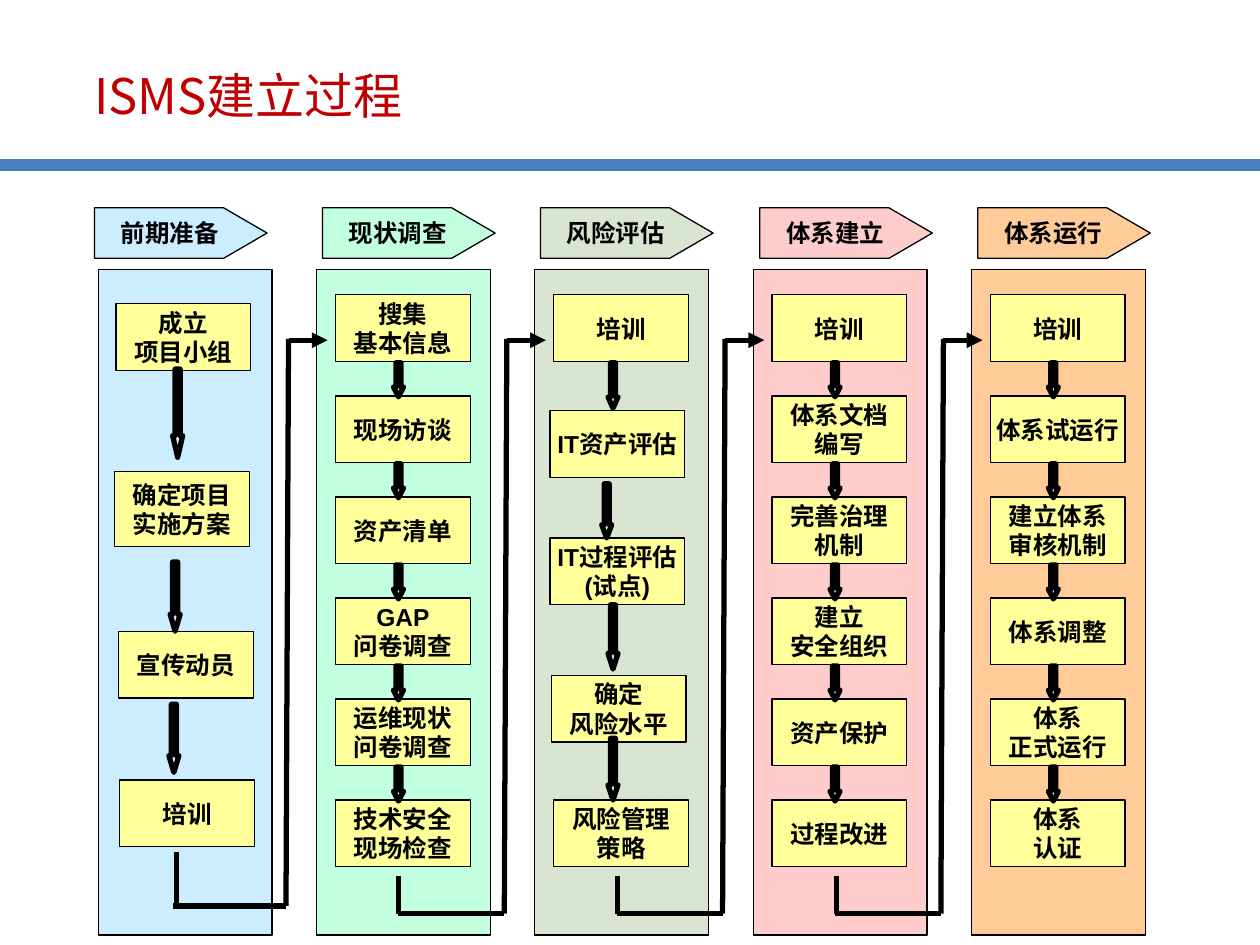
from lxml.etree import SubElement as Sub
from pptx import Presentation
from pptx.dml.color import RGBColor
from pptx.enum.shapes import MSO_CONNECTOR as Link, MSO_SHAPE as Shape
from pptx.enum.text import MSO_ANCHOR as Anchor, PP_ALIGN as Align
from pptx.oxml.ns import qn
from pptx.util import Inches, Pt

BLACK = RGBColor(0x00, 0x00, 0x00)
RED = RGBColor(0xC0, 0x00, 0x00)
BLUE = RGBColor(0x4B, 0x7E, 0xBC)
YELLOW = RGBColor(0xFF, 0xFF, 0x99)
SKY = RGBColor(0xCC, 0xEC, 0xFF)
MINT = RGBColor(0xC1, 0xFF, 0xE0)
SAGE = RGBColor(0xD9, 0xE5, 0xD1)
PINK = RGBColor(0xFF, 0xCC, 0xCC)
PEACH = RGBColor(0xFF, 0xCC, 0x99)

PITCH = 1.7325
ROWS = [2.34 + 0.802 * i for i in range(6)]
EVEN = [(0.15, y, 0.53) for y in ROWS]
DROPS = [(0.61, y + 0.54, 0.27) for y in ROWS[:5]]

STAGES = [
    ("前期准备", 0.75, SKY,
     ["成立\n项目小组", "确定项目\n实施方案", "宣传动员", "培训"],
     [(0.14, 2.41, 0.53), (0.13, 3.74, 0.6), (0.16, 5.01, 0.53), (0.17, 6.19, 0.53)],
     [(0.59, 2.93, 0.7), (0.57, 4.46, 0.55), (0.56, 5.59, 0.54)]),
    ("现状调查", 2.56, MINT,
     ["搜集\n基本信息", "现场访谈", "资产清单", "GAP\n问卷调查",
      "运维现状\n问卷调查", "技术安全\n现场检查"], EVEN, DROPS),
    ("风险评估", 4.29, SAGE,
     ["培训", "IT资产评估", "IT过程评估\n(试点)", "确定\n风险水平", "风险管理\n策略"],
     [(0.15, 2.34, 0.53), (0.12, 3.26, 0.53), (0.12, 4.27, 0.53),
      (0.13, 5.36, 0.53), (0.15, 6.35, 0.53)],
     [(0.58, 2.88, 0.36), (0.53, 3.84, 0.43), (0.58, 4.8, 0.51), (0.58, 5.86, 0.49)]),
    ("体系建立", 6.03, PINK,
     ["培训", "体系文档\n编写", "完善治理\n机制", "建立\n安全组织", "资产保护", "过程改进"],
     EVEN, DROPS),
    ("体系运行", 7.76, PEACH,
     ["培训", "体系试运行", "建立体系\n审核机制", "体系调整", "体系\n正式运行", "体系\n认证"],
     EVEN, DROPS),
]
TURNS = [(1.4, 1.37, 6.76, 7.19), (3.16, 3.16, 6.95, 7.25),
         (4.9, 4.9, 6.95, 7.25), (6.64, 6.63, 6.95, 7.25)]


class Chart:
    """Draws the parts of a staged flow chart on one slide."""

    def __init__(self, slide, face="Arial", size=14):
        self.slide = slide
        self.face = face
        self.size = Pt(size)

    def title(self, text):
        box = self.slide.shapes.title
        box.left, box.top, box.width, box.height = map(Inches, (0.65, 0.37, 9, 0.76))
        frame = box.text_frame
        frame.text = text
        frame.vertical_anchor = Anchor.MIDDLE
        para = frame.paragraphs[0]
        para.alignment = Align.LEFT
        para.font.name = "Noto Sans CJK SC"
        para.font.size = Pt(28)
        para.font.color.rgb = RED

    def block(self, kind, spot, fill, text="", weight=0.75):
        shape = self.slide.shapes.add_shape(kind, *map(Inches, spot))
        shape.shadow.inherit = False
        shape.fill.solid()
        shape.fill.fore_color.rgb = fill
        shape.line.color.rgb = BLACK
        shape.line.width = Pt(weight)
        if text:
            frame = shape.text_frame
            frame.text = text
            frame.word_wrap = False
            frame.vertical_anchor = Anchor.MIDDLE
            for para in frame.paragraphs:
                para.alignment = Align.CENTER
                para.font.name = self.face
                para.font.size = self.size
                para.font.bold = True
                para.font.color.rgb = BLACK
        return shape

    def plate(self, left, fill, text):
        shape = self.block(Shape.PENTAGON, (left, 1.65, 1.37, 0.4), fill, text)
        shape.adjustments[0] = 0.86

    def arrow(self, left, top, height):
        shape = self.block(Shape.DOWN_ARROW, (left, top, 0.08, height), SKY, weight=3)
        shape.adjustments[1] = max(0.98, height * 3.07)

    def line(self, start, end, color=BLACK, weight=3, head=False):
        link = self.slide.shapes.add_connector(
            Link.STRAIGHT, *map(Inches, (*start, *end)))
        link.line.color.rgb = color
        link.line.width = Pt(weight)
        if head:
            Sub(link.line._get_or_add_ln(), qn("a:tailEnd"), type="triangle")
        Sub(link._element.spPr, qn("a:effectLst"))

    def stage(self, left, name, tab, fill, steps, spots, drops):
        self.plate(tab, fill, name)
        self.block(Shape.RECTANGLE, (left, 2.14, 1.38, 5.28), fill)
        for text, (shift, top, height) in zip(steps, spots):
            self.block(Shape.RECTANGLE, (left + shift, top, 1.07, height), YELLOW, text)
        for shift, top, height in drops:
            self.arrow(left + shift, top, height)

    def turn(self, rise, start, left, top, base):
        peak = rise + 0.02
        self.line((start, top), (start, base))
        self.line((left, base), (rise, base))
        self.line((rise, base), (peak, 2.69))
        self.line((peak, 2.7), (peak + 0.31, 2.7), head=True)


def main():
    deck = Presentation()
    deck.slide_width, deck.slide_height = Inches(10), Inches(7.5)
    chart = Chart(deck.slides.add_slide(deck.slide_layouts[5]))
    chart.line((0, 1.31), (10, 1.31), BLUE, 7)
    chart.title("ISMS建立过程")
    for i, stage in enumerate(STAGES):
        chart.stage(0.78 + PITCH * i, *stage)
    for i, turn in enumerate(TURNS):
        chart.turn(2.27 + PITCH * i, *turn)
    deck.save("out.pptx")


if __name__ == "__main__":
    main()
